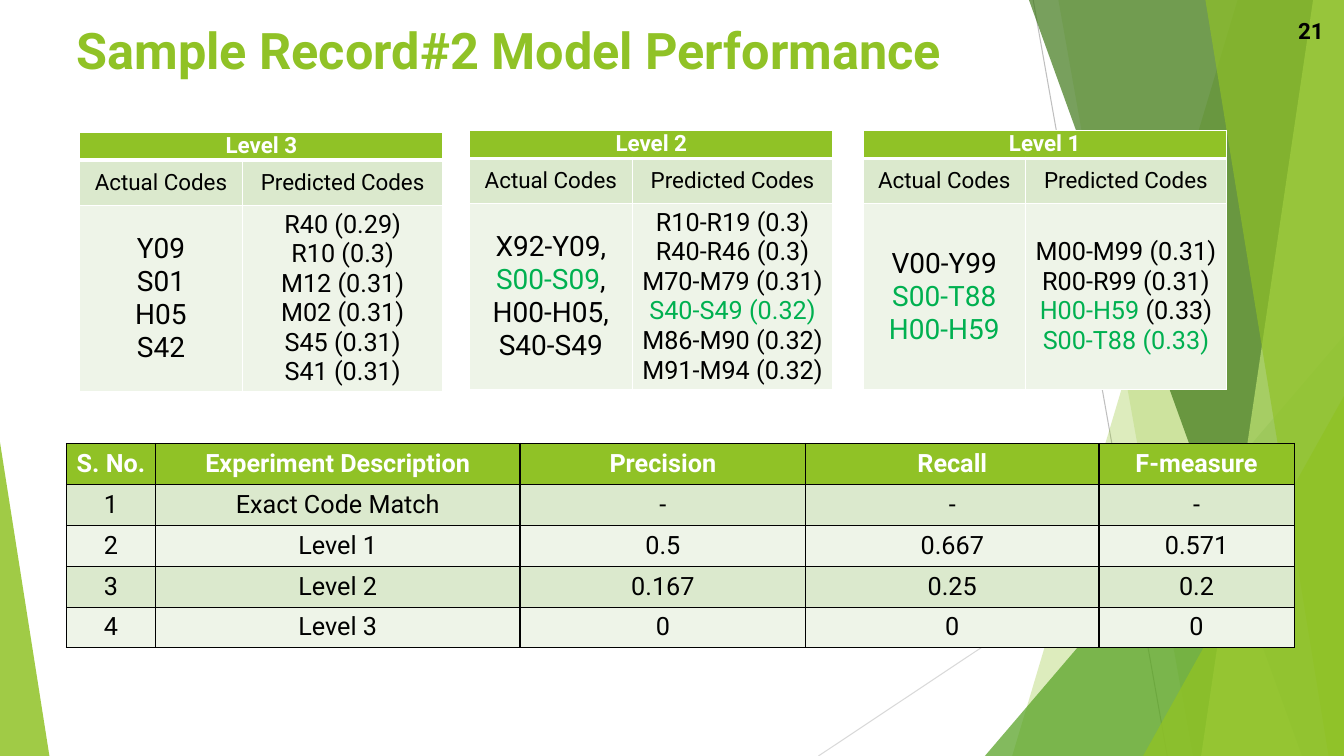
from lxml import etree
from pptx import Presentation
from pptx.dml.color import RGBColor
from pptx.enum.shapes import MSO_CONNECTOR, MSO_SHAPE
from pptx.enum.text import MSO_ANCHOR, MSO_AUTO_SIZE, PP_ALIGN
from pptx.oxml.ns import qn
from pptx.util import Pt

STRAIGHT = MSO_CONNECTOR.STRAIGHT
TRIANGLE = MSO_SHAPE.ISOSCELES_TRIANGLE
MIDDLE = MSO_ANCHOR.MIDDLE
NO_FIT = MSO_AUTO_SIZE.NONE
LEFT, CENTER, RIGHT = PP_ALIGN.LEFT, PP_ALIGN.CENTER, PP_ALIGN.RIGHT

FONT = "Roboto"
LIME, PALE, PALER = "90C226", "DBE9CD", "EEF4E8"
WHITE, BLACK, MATCH = "FFFFFF", "000000", "00B050"


def rgb(color):
    return RGBColor.from_string(color)


def style_run(r, size, color=BLACK, bold=False):
    r.font.name, r.font.size, r.font.bold = FONT, Pt(size), bold
    r.font.color.rgb = rgb(color)


def tint(sp, color, opacity):
    sp.shadow.inherit = False
    sp.line.fill.background()
    sp.fill.solid()
    sp.fill.fore_color.rgb = rgb(color)
    clr = sp._element.spPr.find(".//" + qn("a:srgbClr"))
    etree.SubElement(clr, qn("a:alpha"), val=str(opacity * 1000))


# Backdrop: thin lines and translucent facets
def add_backdrop(shapes, x, y, w, h):
    def line(x1, y1, x2, y2, color):
        cn = shapes.add_connector(STRAIGHT, Pt(x + x1), Pt(y + y1), Pt(x + x2), Pt(y + y2))
        cn.line.color.rgb = rgb(color)
        cn.line.width = Pt(0.75)
        etree.SubElement(cn._element.spPr, qn("a:effectLst"))

    def facet(top, bottom, color, opacity):
        # Runs from a slanted left edge to the right edge of the box
        fb = shapes.build_freeform(x + top, y, scale=Pt(1))
        fb.add_line_segments([(x + w, y), (x + w, y + h), (x + bottom, y + h)])
        tint(fb.convert_to_shape(), color, opacity)

    def corner(left, top, width, apex, color, opacity):
        sp = shapes.add_shape(TRIANGLE, Pt(x + left), Pt(y + top), Pt(width), Pt(h - top))
        sp.adjustments[0] = apex
        tint(sp, color, opacity)

    line(738, 0, 833.8, h, "BFBFBF")
    line(w, 290.2, 584.6, h, "D9D9D9")
    facet(884.2, 722.9, LIME, 30)
    facet(756, 851.8, LIME, 20)
    corner(703.5, 239.8, w - 703.5, 1, "54A021", 72)
    facet(735.1, 929.5, "3F7819", 70)
    facet(938.2, 858.2, "C0E474", 70)
    facet(861.1, 949, LIME, 65)
    corner(816.5, 283, w - 816.5, 1, LIME, 80)
    corner(0, 316, 35.3, 0, LIME, 85)


# Title and slide number
def add_title(slide, text, x, y, w, h):
    sp = slide.shapes.title
    slide.shapes._spTree.append(sp._element)  # in front of the backdrop
    sp.left, sp.top, sp.width, sp.height = Pt(x), Pt(y), Pt(w), Pt(h)
    tf = sp.text_frame
    tf.text = text
    tf.auto_size, tf.word_wrap, tf.vertical_anchor = NO_FIT, True, MIDDLE
    p = tf.paragraphs[0]
    p.alignment, p.line_spacing = LEFT, 0.9
    style_run(p.runs[0], 36, LIME, True)


def add_number(shapes, text, x, y, w, h):
    tf = shapes.add_textbox(Pt(x), Pt(y), Pt(w), Pt(h)).text_frame
    tf.text = text
    tf.word_wrap, tf.vertical_anchor = True, MIDDLE
    p = tf.paragraphs[0]
    p.alignment = RIGHT
    style_run(p.runs[0], 16, BLACK, True)


# Table helpers
def new_table(shapes, x, y, widths, heights):
    table = shapes.add_table(len(heights), len(widths), Pt(x), Pt(y),
                             Pt(sum(widths)), Pt(sum(heights))).table
    table.first_row = table.horz_banding = False
    for col, width in zip(table.columns, widths):
        col.width = Pt(width)
    for row, height in zip(table.rows, heights):
        row.height = Pt(height)
    return table


def set_borders(cell, color, bottom=1, top=1):
    tc_pr = cell._tc.get_or_add_tcPr()
    for i, (side, width) in enumerate(zip("LRTB", (1, 1, top, bottom))):
        ln = etree.Element(qn("a:ln" + side), w=str(Pt(width)))
        fill = etree.SubElement(ln, qn("a:solidFill"))
        etree.SubElement(fill, qn("a:srgbClr"), val=color)
        tc_pr.insert(i, ln)


def fill_cell(cell, lines, size, fill, color=BLACK, bold=False):
    """Write the lines centred; parts between asterisks are matched codes."""
    cell.fill.solid()
    cell.fill.fore_color.rgb = rgb(fill)
    cell.vertical_anchor = MIDDLE
    tf = cell.text_frame
    for i, text in enumerate(lines):
        p = tf.add_paragraph() if i else tf.paragraphs[0]
        p.alignment = CENTER
        for j, part in enumerate(text.split("*")):
            if part:
                r = p.add_run()
                r.text = part
                style_run(r, size, MATCH if j % 2 else color, bold)


# Scores of all experiments
def add_scores(shapes, rows, x, y):
    table = new_table(shapes, x, y, [63.5, 260.5, 204, 209.5, 139.5],
                      [29.3] * 4 + [28.3])
    for i, row in enumerate(rows):
        for j, text in enumerate(row):
            cell = table.cell(i, j)
            if i == 0:
                fill_cell(cell, [text], 18, LIME, WHITE, True)
            else:
                fill_cell(cell, [text], 18, PALE if i % 2 else PALER)
            set_borders(cell, BLACK)


# Actual and predicted codes of one level
def add_level(shapes, name, actual, predicted, x, y):
    table = new_table(shapes, x, y, [116, 143.5], [20.2, 32.4, 132.5])
    table.cell(0, 0).merge(table.cell(0, 1))
    for i in range(3):
        for j in range(2):
            cell = table.cell(i, j)
            cell.margin_left = cell.margin_right = 0
            cell.margin_top = cell.margin_bottom = 0
            set_borders(cell, WHITE, bottom=1 if i else 3, top=3 if i == 1 else 1)
    fill_cell(table.cell(0, 0), [name], 16, LIME, WHITE, True)
    columns = [("Actual Codes", actual, 20), ("Predicted Codes", predicted, 18)]
    for j, (heading, codes, size) in enumerate(columns):
        fill_cell(table.cell(1, j), [heading], 16, PALE)
        fill_cell(table.cell(2, j), codes, size, PALER)


SCORES = [
    ("S. No.", "Experiment Description", "Precision", "Recall", "F-measure"),
    ("1", "Exact Code Match", "-", "-", "-"),
    ("2", "Level 1", "0.5", "0.667", "0.571"),
    ("3", "Level 2", "0.167", "0.25", "0.2"),
    ("4", "Level 3", "0", "0", "0"),
]
LEVELS = [
    ("Level 3", ["Y09", "S01", "H05", "S42"],
     ["R40 (0.29)", "R10 (0.3)", "M12 (0.31)", "M02 (0.31)", "S45 (0.31)", "S41 (0.31)"],
     57, 94.3),
    ("Level 2", ["X92-Y09,", "*S00-S09*,", "H00-H05,", "S40-S49"],
     ["R10-R19 (0.3)", "R40-R46 (0.3)", "M70-M79 (0.31)", "*S40-S49 (0.32)*",
      "M86-M90 (0.32)", "M91-M94 (0.32)"], 335.5, 93),
    ("Level 1", ["V00-Y99", "*S00-T88*", "*H00-H59*"],
     ["M00-M99 (0.31)", "R00-R99 (0.31)", "*H00-H59* (0.33)", "*S00-T88\u00a0(0.33)*"],
     616.5, 93),
]

prs = Presentation()
prs.slide_width, prs.slide_height = Pt(960), Pt(540)
slide = prs.slides.add_slide(prs.slide_layouts[5])  # Title Only
add_backdrop(slide.shapes, 0, 0, 960, 540)
add_title(slide, "Sample Record#2 Model Performance", 47.5, 8.6, 828, 59)
add_scores(slide.shapes, SCORES, 47.5, 316.8)
for level in LEVELS:
    add_level(slide.shapes, *level)
add_number(slide.shapes, "21", 898.6, 7.2, 54, 28.8)
prs.save("out.pptx")
